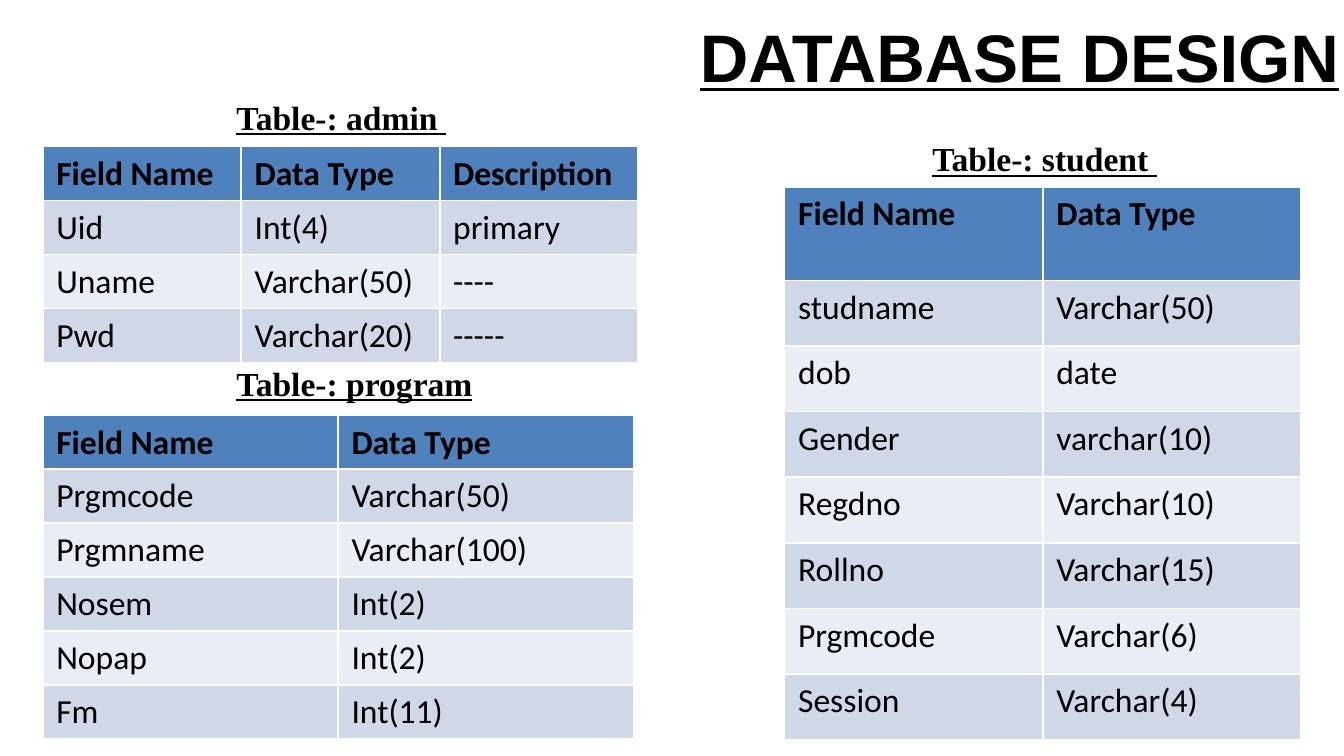
"""Build the database design slide with its three field tables."""
import pptx
import pptx.dml.color
import pptx.enum.text
import pptx.util

Cm = pptx.util.Cm


def color(value):
    return pptx.dml.color.RGBColor.from_string(value)


def write(text_frame, text, font="Calibri", size=18, bold=False, underline=False, align="LEFT", anchor="TOP"):
    text_frame.word_wrap = True
    text_frame.vertical_anchor = pptx.enum.text.MSO_ANCHOR[anchor]
    paragraph = text_frame.paragraphs[0]
    paragraph.alignment = pptx.enum.text.PP_ALIGN[align]
    run = paragraph.add_run()
    run.text = text
    run.font.name = font
    run.font.size = pptx.util.Pt(size)
    run.font.bold = bold
    run.font.underline = underline
    run.font.color.rgb = color("000000")


presentation = pptx.Presentation()
presentation.slide_width = Cm(25.4)
presentation.slide_height = Cm(14.29)
slide = presentation.slides.add_slide(presentation.slide_layouts[6])

title = slide.shapes.add_textbox(Cm(10.57), Cm(-0.2), Cm(17.4), Cm(2.49))
write(title.text_frame, "DATABASE DESIGN", font="Arial", size=36, bold=True,
      underline=True, align="CENTER", anchor="MIDDLE")

captions = [
    ("Table-: admin ", 4.22, 1.7, 4.52),
    ("Table-: program", 4.22, 6.73, 5.94),
    ("Table-: student ", 17.37, 2.49, 6.38),
]
for text, left, top, width in captions:
    caption = slide.shapes.add_textbox(Cm(left), Cm(top), Cm(width), Cm(1.02))
    write(caption.text_frame, text, font="Times New Roman", bold=True, underline=True)

admin = [
    ("Field Name", "Data Type", "Description"),
    ("Uid", "Int(4)", "primary"),
    ("Uname", "Varchar(50)", "----"),
    ("Pwd", "Varchar(20)", "-----"),
]
program = [
    ("Field Name", "Data Type"),
    ("Prgmcode", "Varchar(50)"),
    ("Prgmname", "Varchar(100)"),
    ("Nosem", "Int(2)"),
    ("Nopap", "Int(2)"),
    ("Fm", "Int(11)"),
]
student = [
    ("Field Name", "Data Type"),
    ("studname", "Varchar(50)"),
    ("dob", "date"),
    ("Gender", "varchar(10)"),
    ("Regdno", "Varchar(10)"),
    ("Rollno", "Varchar(15)"),
    ("Prgmcode", "Varchar(6)"),
    ("Session", "Varchar(4)"),
]
tables = [
    (admin, 0.81, 2.77, 3.75, 1.02, 1.02),
    (program, 0.81, 7.85, 5.58, 1.02, 1.02),
    (student, 14.83, 3.53, 4.88, 1.77, 1.24),
]
for rows, left, top, column_width, header_height, row_height in tables:
    columns = len(rows[0])
    height = header_height + row_height * (len(rows) - 1)
    table = slide.shapes.add_table(len(rows), columns, Cm(left), Cm(top),
                                   Cm(column_width * columns), Cm(height)).table
    for column in table.columns:
        column.width = Cm(column_width)
    for row_index, values in enumerate(rows):
        header = row_index == 0
        band = "D0D8E8" if row_index % 2 else "E9EDF4"
        table.rows[row_index].height = Cm(header_height if header else row_height)
        for column_index, value in enumerate(values):
            cell = table.cell(row_index, column_index)
            cell.fill.solid()
            cell.fill.fore_color.rgb = color("4F81BD" if header else band)
            write(cell.text_frame, value, bold=header)

presentation.save("out.pptx")
